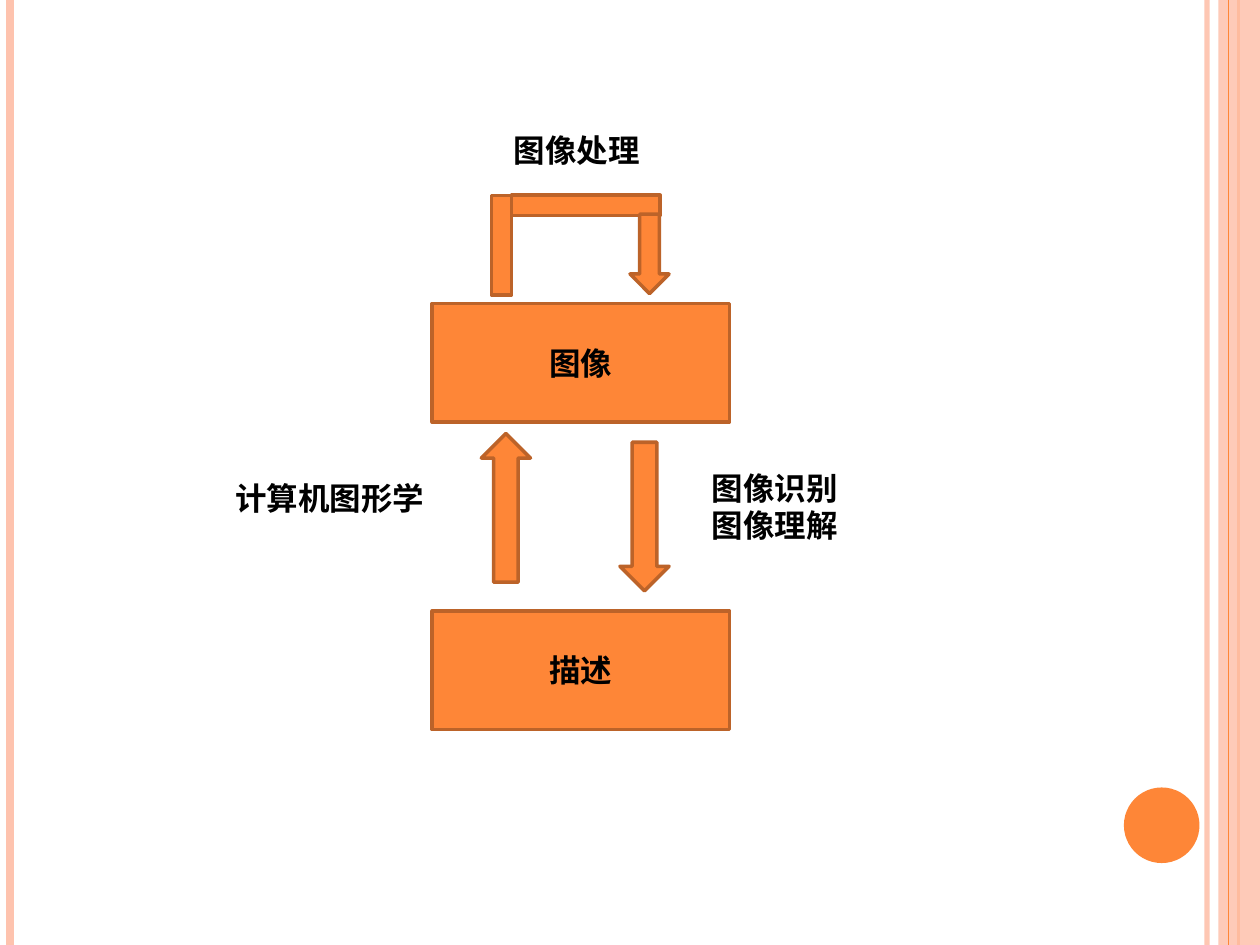
import pptx
import pptx.util
import pptx.dml.color
import pptx.enum.shapes
import pptx.enum.text
import pptx.oxml.ns
from dataclasses import dataclass
from lxml import etree
from pptx.util import Inches

RGB = pptx.dml.color.RGBColor.from_string
SHAPE = pptx.enum.shapes.MSO_SHAPE
qn = pptx.oxml.ns.qn


@dataclass(frozen=True)
class Theme:
    orange: RGB = RGB("FE8637")
    outline: RGB = RGB("BC6329")
    pale: RGB = RGB("FEC3AE")
    ink: RGB = RGB("000000")
    font: str = "Cambria"
    text_size: int = pptx.util.Pt(18)
    outline_width: int = pptx.util.Pt(2)


theme = Theme()


def set_opacity(item, percent):
    """Make the first colour of a shape or connector partly transparent."""
    colour = next(item.element.iter(qn("a:srgbClr")))
    etree.SubElement(colour, qn("a:alpha")).set("val", str(percent * 1000))


def write_lines(frame, lines, alignment):
    for index, line in enumerate(lines):
        paragraph = frame.paragraphs[0] if index == 0 else frame.add_paragraph()
        paragraph.text = line
        paragraph.alignment = alignment
        paragraph.font.name = theme.font
        paragraph.font.size = theme.text_size
        paragraph.font.bold = True
        paragraph.font.color.rgb = theme.ink


deck = pptx.Presentation()
deck.slide_width, deck.slide_height = Inches(10), Inches(7.5)
slide = deck.slides.add_slide(deck.slide_layouts[6])
shapes = slide.shapes

# Page frame: vertical rules, the right band and the corner disc
rules = [
    (9.58, theme.pale, 3, 93),
    (0.08, theme.pale, 4.5, 100),
    (9.83, theme.orange, 1.5, 100),
    (9.75, theme.orange, 0.75, 100),
]
for x, colour, width, opacity in rules:
    if x == 9.75:  # the band lies under this last rule
        band = shapes.add_shape(
            SHAPE.RECTANGLE, Inches(9.67), 0, Inches(0.33), deck.slide_height)
        band.shadow.inherit = False
        band.fill.solid()
        band.fill.fore_color.rgb = theme.pale
        band.line.fill.background()
        set_opacity(band, 87)
    rule = shapes.add_connector(
        pptx.enum.shapes.MSO_CONNECTOR.STRAIGHT,
        Inches(x), 0, Inches(x), deck.slide_height)
    rule.line.color.rgb = colour
    rule.line.width = pptx.util.Pt(width)
    if opacity < 100:
        set_opacity(rule, opacity)
    etree.SubElement(rule.element.spPr, qn("a:effectLst"))

disc = shapes.add_shape(
    SHAPE.OVAL, Inches(8.92), Inches(6.25), Inches(0.6), Inches(0.6))
disc.shadow.inherit = False
disc.fill.solid()
disc.fill.fore_color.rgb = theme.orange
disc.line.fill.background()

# Diagram: two boxes, the arrows between them and the loop above
parts = [
    (SHAPE.RECTANGLE, 3.43, 2.41, 2.36, 0.94, "图像"),
    (SHAPE.RECTANGLE, 3.43, 4.85, 2.36, 0.94, "描述"),
    (SHAPE.DOWN_ARROW, 4.92, 3.51, 0.39, 1.18, None),
    (SHAPE.UP_ARROW, 3.82, 3.44, 0.39, 1.18, None),
    (SHAPE.RECTANGLE, 3.9, 1.55, 0.16, 0.79, None),
    (SHAPE.RECTANGLE, 4.06, 1.55, 1.18, 0.16, None),
    (SHAPE.DOWN_ARROW, 5, 1.7, 0.31, 0.63, None),
]
for kind, left, top, width, height, caption in parts:
    part = shapes.add_shape(
        kind, Inches(left), Inches(top), Inches(width), Inches(height))
    part.shadow.inherit = False
    part.fill.solid()
    part.fill.fore_color.rgb = theme.orange
    part.line.color.rgb = theme.outline
    part.line.width = theme.outline_width
    if caption:
        part.text_frame.vertical_anchor = pptx.enum.text.MSO_ANCHOR.MIDDLE
        write_lines(part.text_frame, [caption], pptx.enum.text.PP_ALIGN.CENTER)

# Names of the processes beside the arrows
labels = [
    (3.98, 0.99, 1.21, 0.4, False, ["图像处理"]),
    (5.55, 3.67, 1.57, 0.71, True, ["图像识别", "图像理解"]),
    (1.77, 3.75, 1.97, 0.4, True, ["计算机图形学"]),
]
for left, top, width, height, wraps, lines in labels:
    label = shapes.add_textbox(
        Inches(left), Inches(top), Inches(width), Inches(height))
    label.text_frame.word_wrap = wraps
    label.text_frame.auto_size = pptx.enum.text.MSO_AUTO_SIZE.SHAPE_TO_FIT_TEXT
    write_lines(label.text_frame, lines, pptx.enum.text.PP_ALIGN.LEFT)

deck.save("out.pptx")
